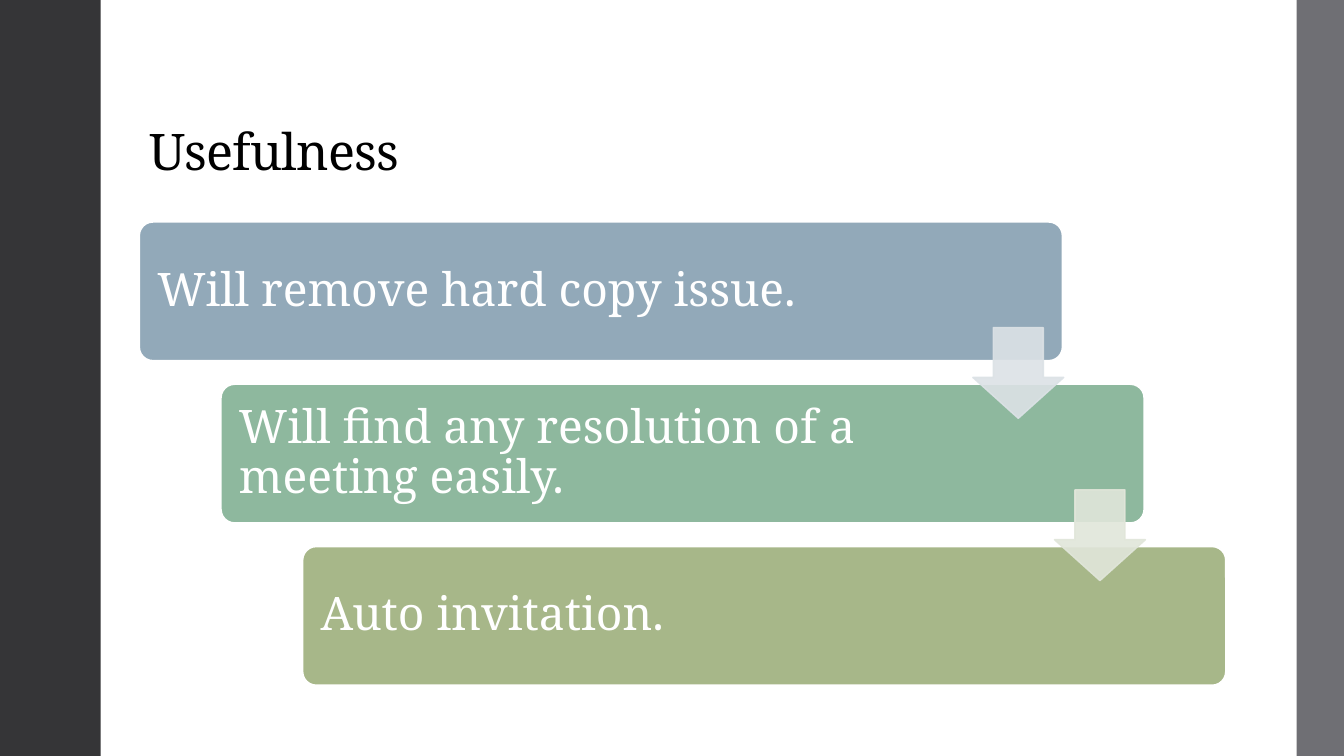
from lxml.etree import SubElement
from pptx import Presentation
from pptx.dml.color import RGBColor
from pptx.enum.shapes import MSO_SHAPE
from pptx.enum.text import MSO_ANCHOR
from pptx.oxml.ns import qn
from pptx.util import Inches, Pt

WHITE = RGBColor(0xFF, 0xFF, 0xFF)
BLACK = RGBColor(0x00, 0x00, 0x00)
DARK_GRAY = RGBColor(0x35, 0x35, 0x37)
MID_GRAY = RGBColor(0x6F, 0x6F, 0x74)
BLUE = RGBColor(0x92, 0xA9, 0xB9)
GREEN = RGBColor(0x8E, 0xB8, 0x9E)
OLIVE = RGBColor(0xA7, 0xB7, 0x89)
PALE_BLUE = RGBColor(0xDC, 0xE2, 0xE6)
PALE_OLIVE = RGBColor(0xE1, 0xE6, 0xDA)

FONT = "Noto Serif"
STEP_LEFT, STEP_TOP = 1.38, 2.2
STEP_WIDTH, STEP_HEIGHT = 9.16, 1.38
SHIFT_X, SHIFT_Y = 0.81, 1.61
ARROW_LEFT, ARROW_TOP, ARROW_SIZE = 9.65, 3.25, 0.9
STEPS = [
    ("Will remove hard copy issue.", BLUE, 7.68),
    ("Will find any resolution\u00a0of a meeting\u00a0easily.", GREEN, 7.38),
    ("Auto\u00a0invitation.", OLIVE, 7.38),
]


def set_attributes(target, values):
    """Set each named value on the target object."""
    for name, value in values.items():
        setattr(target, name, value)


def add_block(slide, kind, box, fill, line=None, line_width=1.0, adjustments=()):
    """Add a flat preset shape with a solid fill and an optional outline."""
    shape = slide.shapes.add_shape(kind, *map(Inches, box))
    shape.shadow.inherit = False
    shape.fill.solid()
    shape.fill.fore_color.rgb = fill
    if line is None:
        shape.line.fill.background()
    else:
        shape.line.color.rgb = line
        shape.line.width = Pt(line_width)
    for index, value in enumerate(adjustments):
        shape.adjustments[index] = value
    return shape


def add_text(slide, text, box, size, color, anchor, margins=(0.1, 0.05)):
    """Add a wrapped one-paragraph text box and return its run."""
    frame = slide.shapes.add_textbox(*map(Inches, box)).text_frame
    side, end = map(Inches, margins)
    set_attributes(frame, {
        "word_wrap": True, "vertical_anchor": anchor,
        "margin_left": side, "margin_right": side,
        "margin_top": end, "margin_bottom": end,
    })
    paragraph = frame.paragraphs[0]
    paragraph.line_spacing = 0.9
    run = paragraph.add_run()
    run.text = text
    set_attributes(run.font, {"name": FONT, "size": Pt(size)})
    run.font.color.rgb = color
    return run


def add_step(slide, index, text, fill, text_width):
    """Add one rounded step of the staircase with its text."""
    left, top = STEP_LEFT + index * SHIFT_X, STEP_TOP + index * SHIFT_Y
    add_block(slide, MSO_SHAPE.ROUNDED_RECTANGLE,
              (left, top, STEP_WIDTH, STEP_HEIGHT), fill, WHITE, 1.35, (0.1,))
    add_text(slide, text, (left + 0.04, top + 0.04, text_width, 1.3),
             33, WHITE, MSO_ANCHOR.MIDDLE, (0.14, 0.14))


def add_step_arrow(slide, index, color):
    """Add the translucent arrow that leads to the next step."""
    box = (ARROW_LEFT + index * SHIFT_X, ARROW_TOP + index * SHIFT_Y,
           ARROW_SIZE, ARROW_SIZE)
    arrow = add_block(slide, MSO_SHAPE.DOWN_ARROW, box, color, color, 1.1,
                      (0.55, 0.45))
    for color_element in arrow._element.spPr.iter(qn("a:srgbClr")):
        SubElement(color_element, qn("a:alpha"), val="90000")


def main():
    """Build the slide and save it."""
    presentation = Presentation()
    set_attributes(presentation, {"slide_width": Inches(13.33),
                                  "slide_height": Inches(7.5)})
    slide = presentation.slides.add_slide(presentation.slide_layouts[6])
    title = add_text(slide, "Usefulness", (1.38, 0.4, 10.78, 1.45),
                     36, BLACK, MSO_ANCHOR.BOTTOM)
    title.font._element.set("spc", "-50")
    for left, width, color in [(0, 1, DARK_GRAY), (12.86, 0.47, MID_GRAY)]:
        add_block(slide, MSO_SHAPE.RECTANGLE, (left, 0, width, 7.5), color)
    for index, step in enumerate(STEPS):
        add_step(slide, index, *step)
    for index, color in enumerate([PALE_BLUE, PALE_OLIVE]):
        add_step_arrow(slide, index, color)
    presentation.save("out.pptx")


main()
